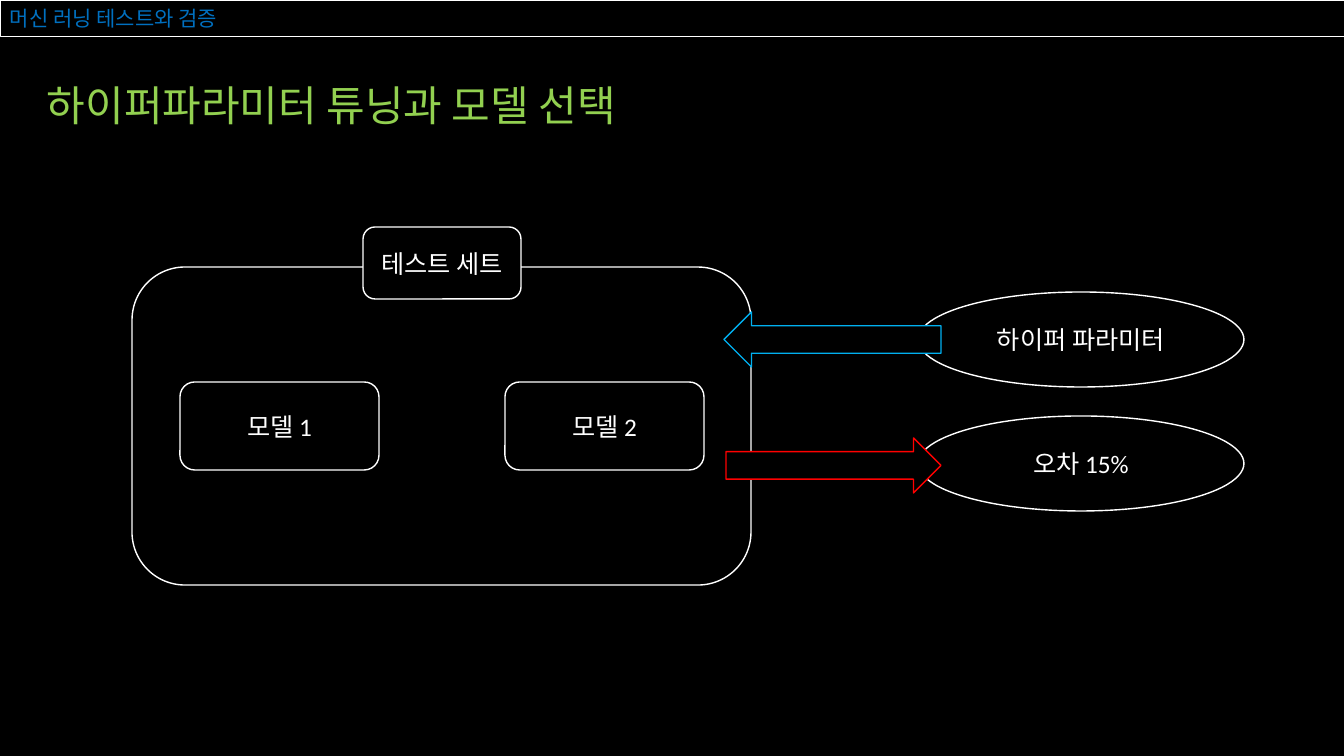
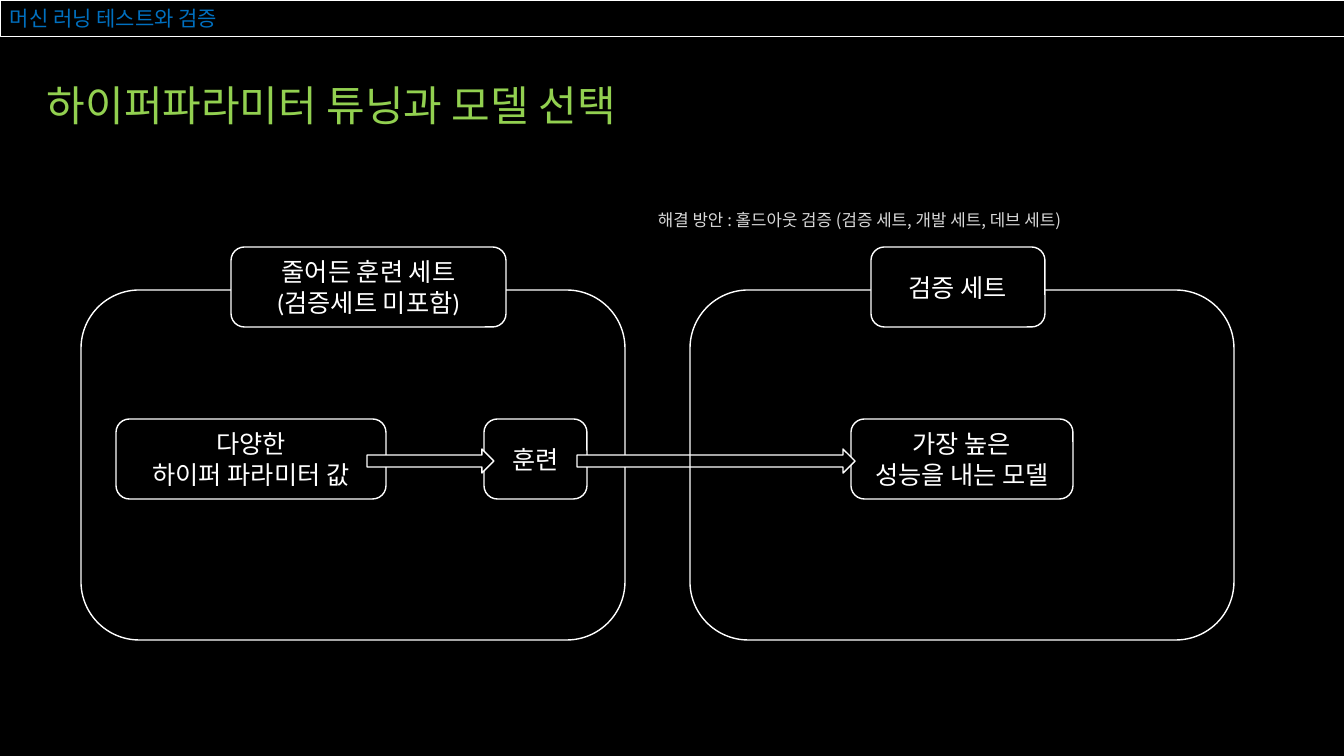
from pptx import Presentation
from pptx.dml.color import RGBColor
from pptx.enum.shapes import MSO_SHAPE as Shape
from pptx.enum.text import MSO_ANCHOR as Anchor, PP_ALIGN as Align
from pptx.oxml.ns import qn
from pptx.util import Pt

PX = 12192000 // 1344  # EMU per px
WIDTH, HEIGHT = 1344, 756
COLORS = {"black": "000000", "white": "FFFFFF", "header": "0070C0", "title": "92D050",
          "note": "D9D9D9", "input": "00B0F0", "error": "FF0000"}
KOREAN, LATIN = "Noto Sans CJK KR", "Calibri"

# Shared text
HEADER = "머신 러닝 테스트와 검증"
TITLE = "하이퍼파라미터 튜닝과 모델 선택"

# Kinds of part: preset shape, filled with the background colour or not
KINDS = {
    "panel": (Shape.ROUNDED_RECTANGLE, False),
    "node": (Shape.ROUNDED_RECTANGLE, False),
    "tab": (Shape.ROUNDED_RECTANGLE, True),
    "oval": (Shape.OVAL, False),
    "left": (Shape.LEFT_ARROW, True),
    "right": (Shape.RIGHT_ARROW, True),
}

# Rows and sizes that repeat, in px
MODEL_Y, MODEL_W, MODEL_H = 382, 199, 88
OVAL_X, OVAL_W, OVAL_H = 918, 326, 95
PANEL_Y, PANEL_W, PANEL_H = 290, 544, 350
TAB_Y, STEP_Y, STEP_H = 247, 419, 80

# Parts from back to front: kind, (left, top, width, height), lines, line colour
SLIDES = [
    {"note": None, "parts": [
        ("node", (180, MODEL_Y, MODEL_W, MODEL_H), ["모델 1"], "white"),
        ("node", (505, MODEL_Y, MODEL_W, MODEL_H), ["모델 2"], "white"),
        ("panel", (132, 267, 619, 318), [], "white"),
        ("tab", (363, 227, 158, 72), ["테스트 세트"], "white"),
        ("oval", (OVAL_X, 292, OVAL_W, OVAL_H), ["하이퍼 파라미터"], "white"),
        ("left", (724, 312, 217, 55), [], "input"),
        ("oval", (OVAL_X, 416, OVAL_W, OVAL_H), ["오차 15%"], "white"),
        ("right", (726, 438, 215, 55), [], "error"),
    ]},
    {"note": "해결 방안 : 홀드아웃 검증 (검증 세트, 개발 세트, 데브 세트)", "parts": [
        ("panel", (81, PANEL_Y, PANEL_W, PANEL_H), [], "white"),
        ("tab", (231, TAB_Y, 275, STEP_H), ["줄어든 훈련 세트 (검증세트 미포함)"], "white"),
        ("node", (116, STEP_Y, 270, STEP_H), ["다양한", "하이퍼 파라미터 값"], "white"),
        ("node", (484, STEP_Y, 103, STEP_H), ["훈련"], "white"),
        ("node", (851, STEP_Y, 222, STEP_H), ["가장 높은", "성능을 내는 모델"], "white"),
        ("right", (367, 449, 127, 24), [], "white"),
        ("right", (577, 449, 278, 24), [], "white"),
        ("panel", (690, PANEL_Y, PANEL_W, PANEL_H), [], "white"),
        ("tab", (871, TAB_Y, 174, STEP_H), ["검증 세트"], "white"),
    ]},
]


def color(name):
    return RGBColor.from_string(COLORS[name])


def emu(box):
    return [value * PX for value in box]


def write(frame, lines, size, ink, latin=KOREAN, align=Align.LEFT, spacing=None):
    frame.word_wrap = True
    for index, line in enumerate(lines):
        para = frame.add_paragraph() if index else frame.paragraphs[0]
        para.alignment = align
        if spacing:
            para.line_spacing = spacing
        span = para.add_run()
        span.text = line
        span.font.size = Pt(size)
        span.font.name = latin
        span.font.color.rgb = color(ink)
        east_asian = span.font._element.makeelement(qn("a:ea"), {"typeface": KOREAN})
        span.font._element.find(qn("a:latin")).addnext(east_asian)


def add_outline(page, preset, box, filled, line, weight=1):
    shape = page.shapes.add_shape(preset, *emu(box))
    shape.shadow.inherit = False
    if filled:
        shape.fill.solid()
        shape.fill.fore_color.rgb = color("black")
    else:
        shape.fill.background()
    shape.line.color.rgb = color(line)
    shape.line.width = Pt(weight)
    return shape


def add_text(page, box, text, size, ink, spacing):
    frame = page.shapes.add_textbox(*emu(box)).text_frame
    frame.margin_top = 0
    write(frame, [text], size, ink, spacing=spacing)


def add_page(deck, content):
    page = deck.slides.add_slide(deck.slide_layouts[6])
    # Header band and title
    band = add_outline(page, Shape.RECTANGLE, (0, 0, WIDTH, 36), False, "white", 0.5)
    band.text_frame.vertical_anchor = Anchor.BOTTOM
    write(band.text_frame, [HEADER], 15, "header", spacing=0.9)
    add_text(page, (37, 85, 1182, 41), TITLE, 30, "title", 0.9)
    # Note above the diagram
    if content["note"]:
        add_text(page, (648, 196, 596, 424), content["note"], 12, "note", 1.7)
    # Diagram
    for kind, box, lines, line in content["parts"]:
        preset, filled = KINDS[kind]
        shape = add_outline(page, preset, box, filled, line)
        shape.text_frame.vertical_anchor = Anchor.MIDDLE
        write(shape.text_frame, lines, 18, "white", LATIN, Align.CENTER)


def main():
    deck = Presentation()
    deck.slide_width, deck.slide_height = emu((WIDTH, HEIGHT))
    background = deck.slide_master.background.fill
    background.solid()
    background.fore_color.rgb = color("black")
    for content in SLIDES:
        add_page(deck, content)
    deck.save("out.pptx")


if __name__ == "__main__":
    main()
